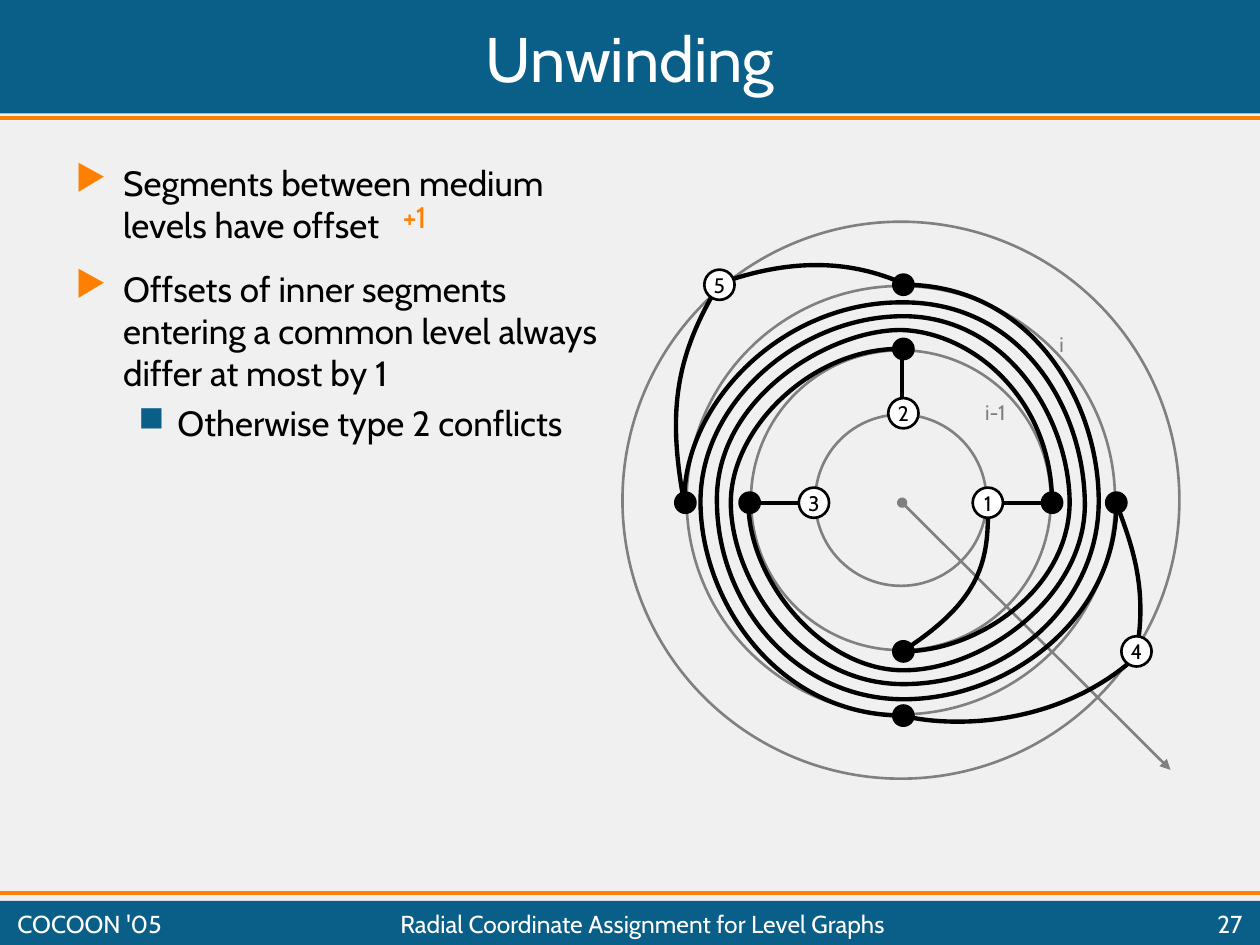
from typing import NamedTuple

from lxml.etree import SubElement
from pptx import Presentation
from pptx.dml.color import RGBColor
from pptx.enum.shapes import MSO_CONNECTOR, MSO_SHAPE
from pptx.enum.text import MSO_ANCHOR as Anchor, MSO_AUTO_SIZE as AutoSize, PP_ALIGN as Align
from pptx.oxml.ns import qn
from pptx.util import Inches, Pt

COLORS = {"blue": "0A5F89", "orange": "FF7F00", "gray": "808080",
          "black": "000000", "white": "FFFFFF", "paper": "F0F0F0"}
FONT = "Cabin"
Point = tuple[float, float]


class Node(NamedTuple):
    number: str
    x: float
    y: float


class Bullet(NamedTuple):
    words: str
    level: int
    mark: str
    color: str
    indent: float
    hanging: float
    space: float


class Label(NamedTuple):
    words: str
    box: tuple[float, float, float, float]
    size: int
    color: str
    align: Align = Align.LEFT
    anchor: Anchor = Anchor.TOP
    wrap: bool = True


CENTER_X, CENTER_Y = 7.15, 3.97
HUB_X, HUB_Y = 7.17, 3.99
RING_RADII = [0.68 + 0.51 * level for level in range(4)]
DOT_RADII = (1.2, 1.71)

# Each edge is a start point followed by three points per Bézier curve.
EDGES: list[list[Point]] = [
    [(7.17, 5.68), (6.17, 5.68), (5.56, 4.77), (5.56, 3.98),
     (5.56, 3.19), (6.35, 2.51), (7.17, 2.51),
     (7.98, 2.51), (8.48, 3.3), (8.49, 3.98),
     (8.49, 4.67), (7.77, 5.17), (7.17, 5.17)],
    [(8.86, 4.01), (8.85, 4.91), (8.01, 5.55), (7.17, 5.55),
     (6.34, 5.55), (5.7, 4.83), (5.69, 3.99),
     (5.67, 3.15), (6.6, 2.61), (7.16, 2.62),
     (7.72, 2.64), (8.34, 3.16), (8.35, 3.98)],
    [(7.17, 2.26), (8.18, 2.26), (8.72, 3.18), (8.72, 3.98),
     (8.72, 4.78), (8.02, 5.43), (7.17, 5.43),
     (6.33, 5.43), (5.8, 4.59), (5.8, 3.99),
     (5.8, 3.39), (6.46, 2.75), (7.17, 2.77)],
    [(5.43, 3.98), (5.43, 3.19), (6.22, 2.39), (7.17, 2.4),
     (8.11, 2.4), (8.6, 3.24), (8.61, 3.99),
     (8.62, 4.73), (7.81, 5.32), (7.17, 5.32),
     (6.53, 5.32), (5.94, 4.61), (5.94, 3.99)],
    [(7.84, 3.99), (7.85, 4.44), (7.8, 4.76), (7.16, 5.17)],
    [(9.02, 5.17), (9.12, 4.64), (8.96, 4.27), (8.86, 3.99)],
    [(9.02, 5.21), (8.44, 5.74), (7.62, 5.79), (7.16, 5.68)],
    [(7.17, 2.25), (6.76, 2.07), (6.3, 2.04), (5.71, 2.25)],
    [(5.43, 3.99), (5.3, 3.29), (5.35, 2.84), (5.71, 2.25)],
]
SPOKES = [((8.35, 3.99), (7.83, 3.99)), ((6.46, 3.99), (5.94, 3.99)),
          ((7.16, 2.77), (7.16, 3.28))]
NODES = [Node("3", 6.46, 3.99), Node("2", 7.17, 3.28), Node("1", 7.84, 3.99),
         Node("4", 9.02, 5.17), Node("5", 5.71, 2.26)]
BULLETS = [
    Bullet("Segments between medium levels have offset", 0, "▶", "orange", 0.38, 0.38, 12.5),
    Bullet("Offsets of inner segments entering a common level always differ at most by 1",
           0, "▶", "orange", 0.38, 0.38, 12.5),
    Bullet("Otherwise type 2 conflicts", 1, "■", "blue", 0.81, 0.31, 5),
]
LABELS = [
    Label("i-1", (7.72, 3.12, 0.39, 0.3), 12, "gray", wrap=False),
    Label("i", (8.31, 2.58, 0.24, 0.3), 12, "gray", wrap=False),
    Label("Radial Coordinate Assignment for Level Graphs", (1.5, 7.19, 7.2, 0.28),
          14, "white", Align.CENTER, Anchor.MIDDLE),
    Label("27", (8.78, 7.19, 1.18, 0.28), 14, "white", Align.RIGHT, Anchor.MIDDLE),
    Label("COCOON '05", (0.04, 7.19, 1.44, 0.28), 14, "white", anchor=Anchor.MIDDLE),
]


def rgb(color: str) -> RGBColor:
    return RGBColor.from_string(COLORS[color])


def set_line(item, color: str, width: float) -> None:
    item.line.color.rgb = rgb(color)
    item.line.width = Pt(width)


def add_run(paragraph, words: str, size: float, color: str) -> None:
    run = paragraph.add_run()
    run.text = words
    run.font.size, run.font.name = Pt(size), FONT
    run.font.color.rgb = rgb(color)


def add_band(slide, top: float, height: float) -> None:
    band = slide.shapes.add_shape(MSO_SHAPE.RECTANGLE, 0, Inches(top), Inches(10), Inches(height))
    band.shadow.inherit = False
    band.fill.solid()
    band.fill.fore_color.rgb = rgb("blue")
    band.line.fill.background()


def add_circle(slide, x: float, y: float, radius: float, line: str, fill: str | None = None):
    circle = slide.shapes.add_shape(MSO_SHAPE.OVAL, Inches(x - radius), Inches(y - radius),
                                    Inches(2 * radius), Inches(2 * radius))
    circle.shadow.inherit = False
    if fill:
        circle.fill.solid()
        circle.fill.fore_color.rgb = rgb(fill)
    else:
        circle.fill.background()
    set_line(circle, line, 1.5)
    return circle


def add_line(slide, start: Point, end: Point, color: str, width: float):
    line = slide.shapes.add_connector(MSO_CONNECTOR.STRAIGHT, *map(Inches, start + end))
    set_line(line, color, width)
    SubElement(line.element.spPr, qn("a:effectLst"))
    return line


def add_curve(slide, points: list[Point]) -> None:
    """Draw a freeform, turning each three line segments into one Bézier curve."""
    builder = slide.shapes.build_freeform(*points[0], scale=Inches(1) / 1.0)
    # Whole-number local units keep the coordinates precise.
    emu = [(Inches(x), Inches(y)) for x, y in points]
    builder = slide.shapes.build_freeform(*emu[0], scale=1.0)
    builder.add_line_segments(emu[1:], close=False)
    curve = builder.convert_to_shape()
    curve.shadow.inherit = False
    curve.fill.background()
    set_line(curve, "black", 2.5)
    outline = next(curve.element.iter(qn("a:path")))
    segments = outline.findall(qn("a:lnTo"))
    for first in range(0, len(segments), 3):
        bezier = SubElement(outline, qn("a:cubicBezTo"))
        for segment in segments[first:first + 3]:
            bezier.append(segment[0])
            outline.remove(segment)


def add_node(slide, node: Node) -> None:
    frame = add_circle(slide, node.x, node.y, 0.12, "black", "white").text_frame
    frame.word_wrap = False
    frame.vertical_anchor = Anchor.MIDDLE
    frame.paragraphs[0].alignment = Align.CENTER
    add_run(frame.paragraphs[0], node.number, 12, "black")


def add_label(slide, label: Label):
    frame = slide.shapes.add_textbox(*map(Inches, label.box)).text_frame
    frame.word_wrap = label.wrap
    frame.auto_size = AutoSize.NONE if label.wrap else AutoSize.SHAPE_TO_FIT_TEXT
    frame.vertical_anchor = label.anchor
    paragraph = frame.paragraphs[0]
    paragraph.alignment = label.align
    add_run(paragraph, label.words, label.size, label.color)
    return paragraph


def add_bullets(slide) -> None:
    frame = slide.shapes.add_textbox(*map(Inches, (0.5, 1.23, 4.34, 5.67))).text_frame
    frame.word_wrap = True
    for index, bullet in enumerate(BULLETS):
        paragraph = frame.add_paragraph() if index else frame.paragraphs[0]
        paragraph.level = bullet.level
        paragraph.space_before = Pt(bullet.space)
        props = paragraph._p.get_or_add_pPr()
        props.set("marL", str(Inches(bullet.indent)))
        props.set("indent", str(-Inches(bullet.hanging)))
        SubElement(SubElement(props, qn("a:buClr")), qn("a:srgbClr"), val=COLORS[bullet.color])
        SubElement(props, qn("a:buChar"), char=bullet.mark)
        add_run(paragraph, bullet.words, 20, "black")


def place_title(slide, words: str) -> None:
    title = slide.shapes.title
    title.left, title.top, title.width, title.height = map(Inches, (0.04, 0.04, 9.92, 0.83))
    title.element.getparent().append(title.element)  # in front of the band
    frame = title.text_frame
    frame.auto_size = AutoSize.NONE
    frame.vertical_anchor = Anchor.MIDDLE
    frame.paragraphs[0].alignment = Align.CENTER
    add_run(frame.paragraphs[0], words, 36, "white")


def add_drawing(slide) -> None:
    for radius in RING_RADII:
        add_circle(slide, CENTER_X, CENTER_Y, radius, "gray")
    ray = add_line(slide, (7.16, 3.99), (9.29, 6.11), "gray", 1.5)
    ray_line = ray.line._get_or_add_ln()
    SubElement(ray_line, qn("a:headEnd"), type="oval")
    SubElement(ray_line, qn("a:tailEnd"), type="triangle")
    for points in EDGES:
        add_curve(slide, points)
    for start, end in SPOKES:
        add_line(slide, start, end, "black", 2.5)
    for node in NODES:
        add_node(slide, node)
    for radius in DOT_RADII:
        for side in (-radius, radius):
            add_circle(slide, HUB_X, CENTER_Y + side, 0.08, "black", "black")
            add_circle(slide, CENTER_X + side, HUB_Y, 0.08, "black", "black")


def main() -> None:
    deck = Presentation()
    deck.slide_width, deck.slide_height = Inches(10), Inches(7.5)
    slide = deck.slides.add_slide(deck.slide_layouts[5])
    slide.background.fill.solid()
    slide.background.fill.fore_color.rgb = rgb("paper")
    add_band(slide, 0, 0.9)
    add_band(slide, 7.15, 0.35)
    for y in (0.94, 7.09):
        add_line(slide, (0, y), (10, y), "orange", 2.25)
    place_title(slide, "Unwinding")
    add_bullets(slide)
    add_drawing(slide)
    for label in LABELS:
        add_label(slide, label)
    offset = add_label(slide, Label("+1", (3.1, 1.56, 0.63, 0.39), 17, "orange"))
    offset.space_before, offset.line_spacing = Pt(12.5), 0.9
    deck.save("out.pptx")


if __name__ == "__main__":
    main()
